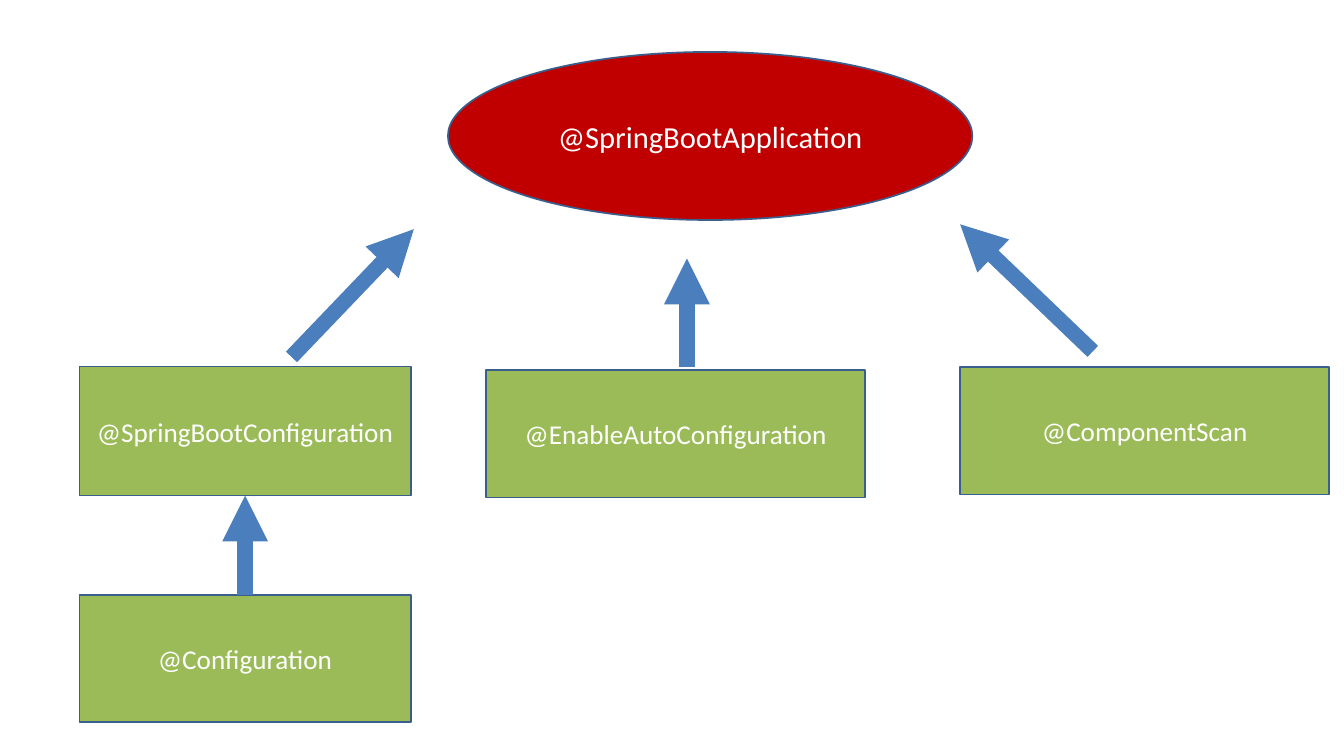
from dataclasses import dataclass

from lxml import etree
from pptx import Presentation
from pptx import util as u
from pptx.dml.color import RGBColor
from pptx.enum import shapes, text
from pptx.oxml import ns


@dataclass(frozen=True)
class Theme:
    """Colours, type sizes and line widths of the slide."""
    font: str = "Calibri"
    root_size: int = 36
    node_size: int = 32
    ink: str = "FFFFFF"
    root_fill: str = "C00000"
    node_fill: str = "9BBB59"
    outline: str = "3A5F8C"
    arrow: str = "4B7EBC"
    outline_width: int = 2
    arrow_width: int = 18


@dataclass(frozen=True)
class Box:
    """A rectangle in inches, divided into 100 columns and 100 rows."""
    left: float
    top: float
    width: float
    height: float

    def point(self, column, row):
        """Return the slide position of a grid point."""
        return (u.Inches(self.left + self.width * column / 100),
                u.Inches(self.top + self.height * row / 100))

    def block(self, column, row, columns, rows):
        """Return the box that covers a block of the grid."""
        return Box(self.left + self.width * column / 100,
                   self.top + self.height * row / 100,
                   self.width * columns / 100, self.height * rows / 100)

    def emu(self):
        """Return the four lengths for python-pptx."""
        return [u.Inches(n) for n in (self.left, self.top, self.width, self.height)]


THEME = Theme()
SLIDE = Box(0, 0, 21.99, 12.37)
OVAL = shapes.MSO_SHAPE.OVAL
RECTANGLE = shapes.MSO_SHAPE.RECTANGLE
TOP, BOTTOM = 0, 2


def write(shape, words, *, size, color=THEME.ink, font=THEME.font):
    """Put centred, formatted text into a shape."""
    frame = shape.text_frame
    frame.word_wrap = True
    frame.vertical_anchor = text.MSO_ANCHOR.MIDDLE
    para = frame.paragraphs[0]
    para.alignment = text.PP_ALIGN.CENTER
    span = para.add_run()
    span.text = words
    span.font.size = u.Pt(size)
    span.font.name = font
    span.font.color.rgb = RGBColor.from_string(color)


def add_node(page, box, words, kind=RECTANGLE, fill=THEME.node_fill, size=THEME.node_size):
    """Draw one annotation filling its box."""
    node = page.shapes.add_shape(kind, *box.emu())
    node.shadow.inherit = False
    node.fill.solid()
    node.fill.fore_color.rgb = RGBColor.from_string(fill)
    node.line.color.rgb = RGBColor.from_string(THEME.outline)
    node.line.width = u.Pt(THEME.outline_width)
    write(node, words, size=size)
    return node


def add_arrow(page, box, start, end):
    """Draw a thick arrow between two grid points of a box."""
    arrow = page.shapes.add_connector(
        shapes.MSO_CONNECTOR.STRAIGHT, *box.point(*start), *box.point(*end))
    arrow.line.color.rgb = RGBColor.from_string(THEME.arrow)
    arrow.line.width = u.Pt(THEME.arrow_width)
    properties = arrow.element.spPr
    etree.SubElement(properties.get_or_add_ln(), ns.qn("a:tailEnd"), type="triangle")
    etree.SubElement(properties, ns.qn("a:effectLst"))
    return arrow


def add_annotation_tree(page, box):
    """Draw the composed annotation, its three components and their arrows."""
    add_node(page, box.block(33.33, 6.87, 39.02, 22.23), "@SpringBootApplication",
             kind=OVAL, fill=THEME.root_fill, size=THEME.root_size)
    boot = add_node(page, box.block(5.91, 48.5, 24.65, 17.06), "@SpringBootConfiguration")
    base = add_node(page, box.block(5.91, 78.74, 24.65, 16.81), "@Configuration")
    add_node(page, box.block(36.15, 48.99, 28.24, 16.81), "@EnableAutoConfiguration")
    add_node(page, box.block(71.44, 48.59, 27.47, 16.81), "@ComponentScan")

    for start, end in (((21.69, 47.21), (30.79, 30.32)),
                       ((51.11, 48.5), (51.11, 34.2)),
                       ((81.31, 46.48), (71.44, 29.67))):
        add_arrow(page, box, start, end)
    link = add_arrow(page, box, (18.24, 78.74), (18.24, 65.56))
    link.begin_connect(base, TOP)
    link.end_connect(boot, BOTTOM)


def main():
    """Build and save the deck."""
    deck = Presentation()
    deck.slide_width = u.Inches(SLIDE.width)
    deck.slide_height = u.Inches(SLIDE.height)
    page = deck.slides.add_slide(deck.slide_layouts[6])
    add_annotation_tree(page, SLIDE)
    deck.save("out.pptx")


if __name__ == "__main__":
    main()
